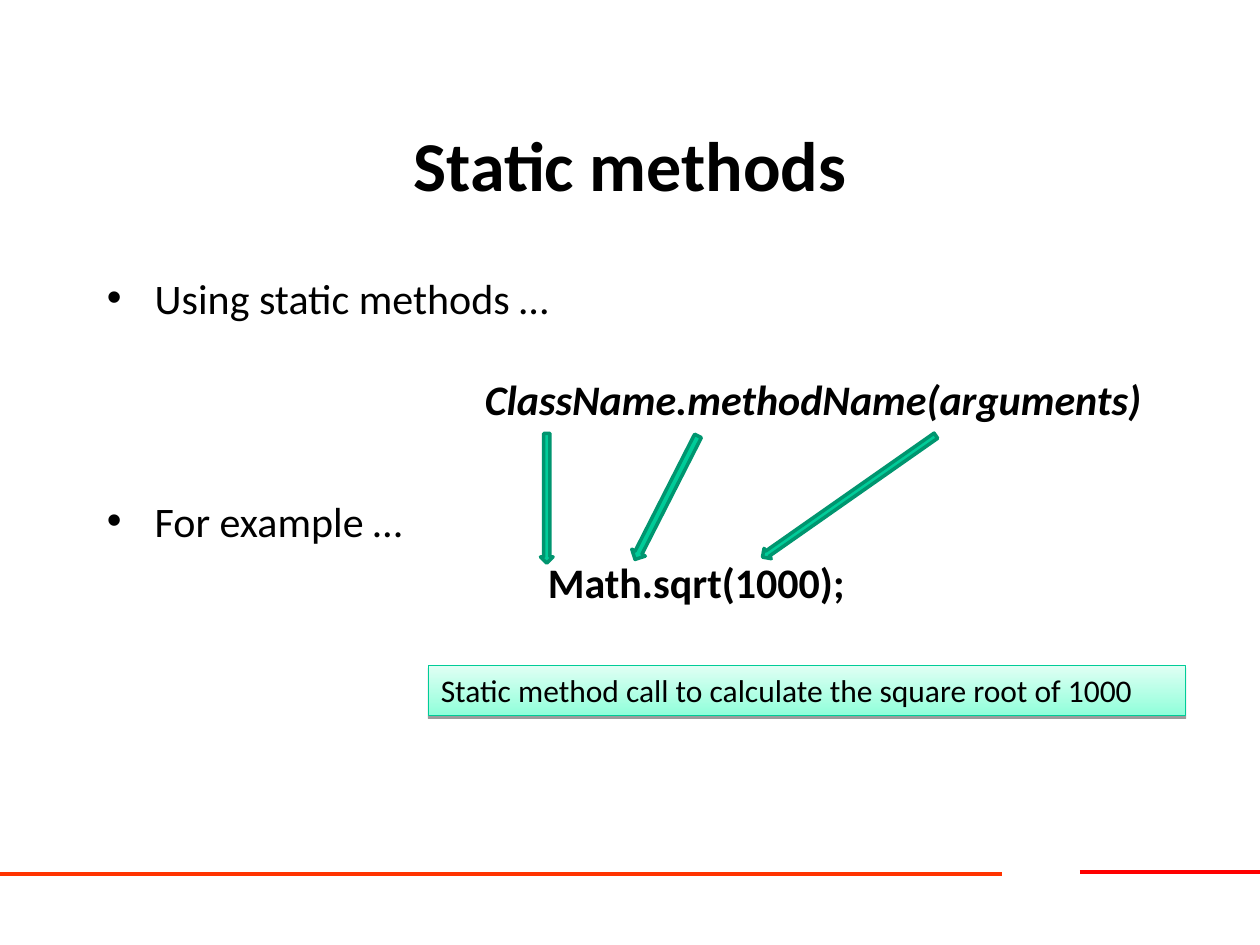
from dataclasses import dataclass

from lxml import etree
from pptx import Presentation
from pptx import util as u
from pptx.dml.color import RGBColor
from pptx.enum import shapes, text
from pptx.oxml import parse_xml
from pptx.oxml.ns import nsdecls, qn


@dataclass(frozen=True)
class Theme:
    font: str = "Calibri"
    ink: str = "000000"
    red: str = "FF0000"
    orange: str = "FF3300"
    green: str = "00CC99"
    edge: str = "00956F"
    rim: str = "00CC98"
    deep: str = "90FFDA"
    pale: str = "E0FFF4"
    title: float = 40
    body: float = 24
    note: float = 18


class Pen:
    def __init__(self, slide, theme):
        self.slide = slide
        self.theme = theme

    def stroke(self, line, color, width):
        line.color.rgb = RGBColor.from_string(color)
        line.width = u.Pt(width)

    def rule(self, x1, x2, y, color):
        ends = [u.Inches(v) for v in (x1, y, x2, y)]
        line = self.slide.shapes.add_connector(shapes.MSO_CONNECTOR.STRAIGHT, *ends)
        self.stroke(line.line, color, 2.25)
        etree.SubElement(line._element.spPr, qn("a:effectLst"))

    def shape(self, kind, area, color, width):
        item = self.slide.shapes.add_shape(kind, *map(u.Inches, area))
        item.shadow.inherit = False
        self.stroke(item.line, color, width)
        return item

    def frame(self, area, anchor=text.MSO_ANCHOR.TOP):
        frame = self.slide.shapes.add_textbox(*map(u.Inches, area)).text_frame
        frame.word_wrap = True
        frame.vertical_anchor = anchor
        return frame

    def run(self, para, words, size, bold=False, italic=False):
        run = para.add_run()
        run.text = words
        font = run.font
        font.name = self.theme.font
        font.size = u.Pt(size)
        font.bold = bold
        font.italic = italic
        font.color.rgb = RGBColor.from_string(self.theme.ink)

    def indent(self, para, left, hang=0):
        props = para._p.get_or_add_pPr()
        props.set("marL", str(u.Inches(left)))
        props.set("indent", str(u.Inches(-hang)))
        return props

    def bullet(self, para):
        props = self.indent(para, 0.38, 0.38)
        etree.SubElement(props, qn("a:buFont")).set("typeface", "Arial")
        etree.SubElement(props, qn("a:buChar")).set("char", "•")

    def title(self, words, area):
        para = self.frame(area, text.MSO_ANCHOR.MIDDLE).paragraphs[0]
        para.alignment = text.PP_ALIGN.CENTER
        self.run(para, words, self.theme.title, bold=True)

    def body(self, rows, area):
        frame = self.frame(area)
        for i, (words, left, gap, bold, italic) in enumerate(rows):
            para = frame.add_paragraph() if i else frame.paragraphs[0]
            if left:
                self.indent(para, left)
            else:
                self.bullet(para)
            para.space_before = u.Pt(gap)
            self.run(para, words, self.theme.body, bold, italic)

    def note(self, words, area):
        box = self.shape(shapes.MSO_SHAPE.RECTANGLE, area, self.theme.rim, 0.75)
        box.fill.gradient()
        box.fill.gradient_angle = 90
        tones = (self.theme.deep, self.theme.pale)
        for stop, tone, place in zip(box.fill.gradient_stops, tones, (0, 1)):
            stop.color.rgb = RGBColor.from_string(tone)
            stop.position = place
        # Soft drop shadow straight below the box
        glow = box._element.spPr.find(qn("a:effectLst"))
        glow.append(parse_xml(
            f'<a:outerShdw {nsdecls("a")} blurRad="0" dist="{u.Pt(1.6)}" '
            f'dir="5400000" rotWithShape="0"><a:srgbClr val="{self.theme.ink}">'
            '<a:alpha val="38000"/></a:srgbClr></a:outerShdw>'))
        frame = box.text_frame
        frame.word_wrap = True
        frame.vertical_anchor = text.MSO_ANCHOR.TOP
        para = frame.paragraphs[0]
        para.alignment = text.PP_ALIGN.LEFT
        self.run(para, words, self.theme.note)

    def arrow(self, area, turn):
        item = self.shape(shapes.MSO_SHAPE.DOWN_ARROW, area, self.theme.edge, 2)
        item.fill.solid()
        item.fill.fore_color.rgb = RGBColor.from_string(self.theme.green)
        item.rotation = turn


def main():
    deck = Presentation()
    deck.slide_width, deck.slide_height = u.Inches(10), u.Inches(7.5)
    theme = Theme()
    pen = Pen(deck.slides.add_slide(deck.slide_layouts[6]), theme)

    # Footer rules
    pen.rule(8.57, 10, 6.92, theme.red)
    pen.rule(0, 7.95, 6.94, theme.orange)

    # Title and body: words, left indent (0 for a bullet), gap, bold, italic
    pen.title("Static methods", (0.75, 0.67, 8.5, 1.25))
    pen.body([
        ("Using static methods …", 0, 0, False, False),
        ("ClassName.methodName(arguments)", 3, 29, True, True),
        ("For example …", 0, 41, False, False),
        ("Math.sqrt(1000);", 3.5, 6, True, False),
    ], (0.75, 2.11, 8.5, 4.5))

    # Explanation of the call
    pen.note("Static method call to calculate the square root of 1000",
             (3.4, 5.28, 6.01, 0.4))

    # Arrows from each part of the pattern to the example
    for area, turn in (((4.29, 3.44, 0.1, 1.03), 0),
                       ((5.23, 3.4, 0.12, 1.1), 27),
                       ((6.69, 3.1, 0.1, 1.68), 55)):
        pen.arrow(area, turn)

    deck.save("out.pptx")


if __name__ == "__main__":
    main()
